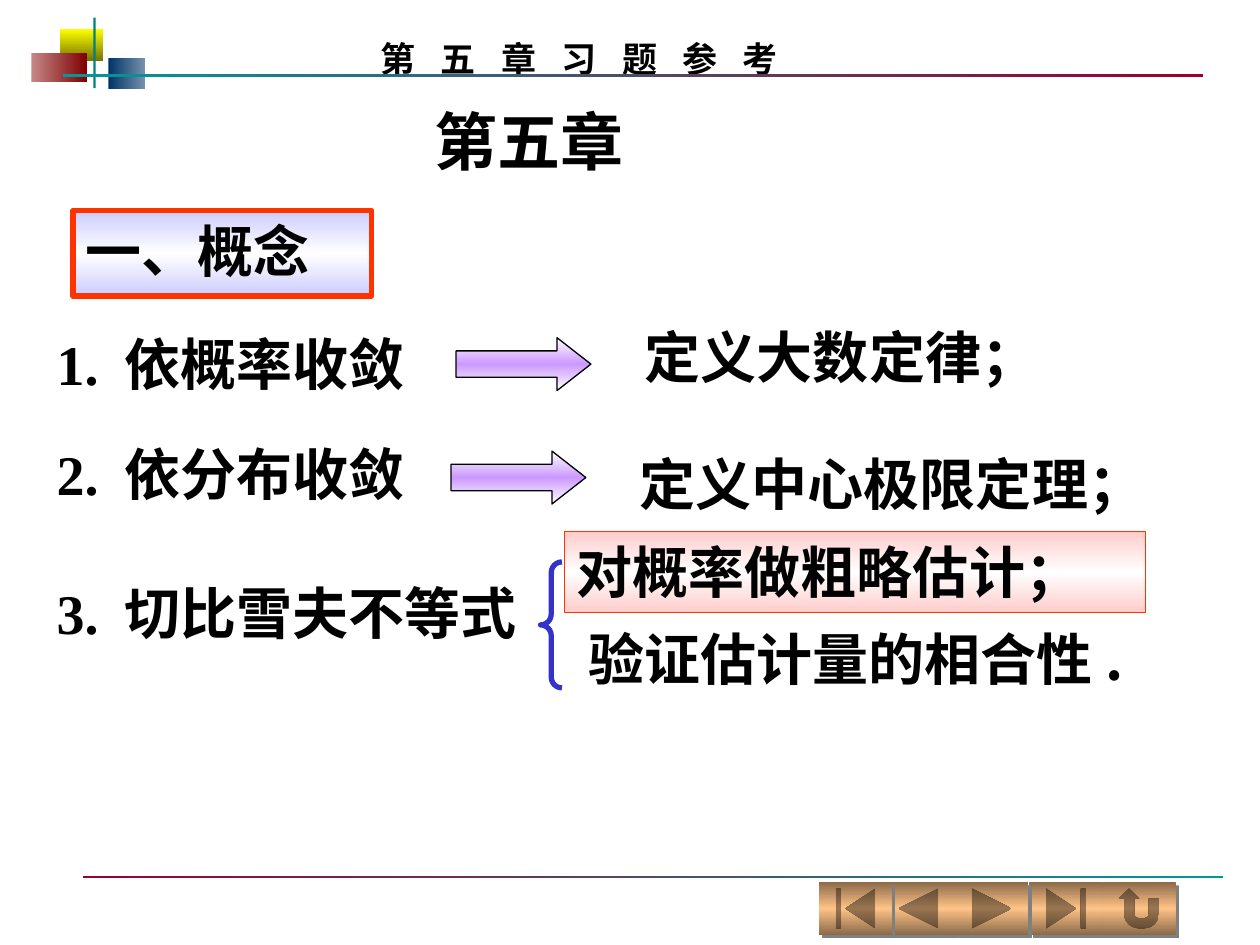
from copy import deepcopy

from lxml.etree import SubElement
from pptx import Presentation
from pptx.dml.color import RGBColor
from pptx.enum.shapes import MSO_SHAPE as Shape
from pptx.enum.text import MSO_ANCHOR as Anchor, MSO_AUTO_SIZE as AutoSize, PP_ALIGN as Align
from pptx.oxml.ns import qn
from pptx.util import Inches, Pt

SERIF = "Times New Roman"
HAN = "Noto Sans CJK SC"

BLACK = RGBColor(0x00, 0x00, 0x00)
WHITE = RGBColor(0xFF, 0xFF, 0xFF)
YELLOW = RGBColor(0xFF, 0xFF, 0x00)
OLIVE = RGBColor(0x76, 0x76, 0x00)
NAVY = RGBColor(0x00, 0x33, 0x66)
STEEL = RGBColor(0x76, 0x91, 0xAD)
ROSE = RGBColor(0xC4, 0x88, 0x88)
MAROON = RGBColor(0x80, 0x00, 0x00)
TEAL = RGBColor(0x00, 0x80, 0x80)
CYAN = RGBColor(0x00, 0x99, 0x99)
CRIMSON = RGBColor(0x99, 0x00, 0x33)
BROWN = RGBColor(0x8A, 0x6A, 0x49)
SAND = RGBColor(0xFF, 0xC3, 0x87)
LAVENDER = RGBColor(0xCC, 0xCC, 0xFF)
VIOLET = RGBColor(0xCC, 0x99, 0xFF)
PINK = RGBColor(0xFF, 0xCC, 0xCC)
ORANGE = RGBColor(0xFF, 0x33, 0x00)
BLUE = RGBColor(0x33, 0x33, 0xCC)


class ChapterSlide:
    """Holds the lecture style and the slide being drawn."""

    def __init__(self, page, size=32):
        self.page = page
        self.size = size

    def format_span(self, span, font=HAN, size=None):
        span.font.name = font
        span.font.size = Pt(size or self.size)
        span.font.bold = True
        span.font.color.rgb = BLACK
        SubElement(span.font._element, qn("a:ea")).set("typeface", HAN)

    def fill_text(self, box, text, size=None, font=HAN):
        frame = box.text_frame
        frame.text = text
        frame.word_wrap = True
        frame.auto_size = AutoSize.NONE
        frame.vertical_anchor = Anchor.TOP
        para = frame.paragraphs[0]
        para.alignment = Align.LEFT
        self.format_span(para.runs[0], font, size)

    def title(self, text, left, top, width, height):
        box = self.page.shapes.title
        box.left, box.top = Inches(left), Inches(top)
        box.width, box.height = Inches(width), Inches(height)
        self.fill_text(box, text, 36)

    def text_box(self, left, top, width, height=0.63):
        return self.page.shapes.add_textbox(
            Inches(left), Inches(top), Inches(width), Inches(height))

    def header(self, text, left, top, width, height):
        box = self.text_box(left, top, width, height)
        self.fill_text(box, text, 20, SERIF)
        box.text_frame.word_wrap = False
        box.text_frame.paragraphs[0].runs[0].font._element.set("spc", "500")

    def statement(self, text, left, top, width):
        self.fill_text(self.text_box(left, top, width), text)

    def numbered(self, number, text, top):
        frame = self.text_box(0.35, top, 4.42).text_frame
        frame.word_wrap = True
        para = frame.paragraphs[0]
        tabs = SubElement(para._p.get_or_add_pPr(), qn("a:tabLst"))
        SubElement(tabs, qn("a:tab"), pos=str(Inches(0.54)), algn="l")
        for content, font in ((f"{number}.\t", SERIF), (text, HAN)):
            span = para.add_run()
            span.text = content
            self.format_span(span, font)

    def shape(self, kind, left, top, width, height, colors=(), angle=0, line=None, weight=0.75):
        shape = self.page.shapes.add_shape(
            kind, Inches(left), Inches(top), Inches(width), Inches(height))
        shape.shadow.inherit = False
        if len(colors) > 1:
            self.blend(shape, colors, angle)
        elif colors:
            shape.fill.solid()
            shape.fill.fore_color.rgb = colors[0]
        else:
            shape.fill.background()
        if line is None:
            shape.line.fill.background()
        else:
            shape.line.color.rgb = line
            shape.line.width = Pt(weight)
        return shape

    def blend(self, shape, colors, angle):
        shape.fill.gradient()
        shape.fill.gradient_angle = angle
        stop_list = shape._element.spPr.find(".//" + qn("a:gsLst"))
        for _ in colors[2:]:
            stop_list.append(deepcopy(stop_list[0]))
        for index, (stop, color) in enumerate(zip(shape.fill.gradient_stops, colors)):
            stop.position = index / (len(colors) - 1)
            stop.color.rgb = color

    def band(self, kind, left, top, width, height, edge, middle, line=None, weight=0.75):
        return self.shape(kind, left, top, width, height, (edge, middle, edge), 270, line, weight)

    def label(self, text, left, top, width, height, edge, weight):
        box = self.band(Shape.RECTANGLE, left, top, width, height, edge, WHITE, ORANGE, weight)
        self.fill_text(box, text)

    def arrow(self, left, top):
        arrow = self.band(Shape.RIGHT_ARROW, left, top, 1.07, 0.42, WHITE, VIOLET, BLACK)
        arrow.adjustments[0] = 0.5
        arrow.adjustments[1] = 0.641

    def brace(self, left, top, width, height):
        brace = self.shape(Shape.LEFT_BRACE, left, top, width, height, line=BLUE, weight=3)
        brace.adjustments[0] = 0.5
        brace.adjustments[1] = 0.5

    def button(self, kind, left):
        button = self.band(kind, left, 7, 0.58, 0.42, BROWN, SAND)
        properties = button._element.spPr
        properties.find(qn("a:xfrm")).set("flipH", "1")
        shadow = SubElement(properties.find(qn("a:effectLst")), qn("a:outerShdw"),
                            dist=str(Pt(2.8)), dir="2700000", algn="ctr", rotWithShape="0")
        SubElement(shadow, qn("a:srgbClr"), val="808080")


def main():
    deck = Presentation()
    deck.slide_width, deck.slide_height = Inches(10), Inches(7.5)
    slide = ChapterSlide(deck.slides.add_slide(deck.slide_layouts[5]))

    slide.header("第 五 章 习 题 参 考", 2.92, 0.25, 3.44, 0.44)
    for left, top, width, height, colors, angle in (
        (0.48, 0.23, 0.34, 0.25, (YELLOW, OLIVE), 270),
        (0.86, 0.46, 0.29, 0.25, (NAVY, STEEL), 0),
        (0.25, 0.42, 0.44, 0.23, (ROSE, MAROON), 0),
        (0.74, 0.14, 0.02, 0.56, (TEAL,), 0),
        (0.5, 0.59, 9.05, 0.02, (CYAN, CRIMSON), 0),
        (0.66, 6.95, 9.05, 0.02, (CRIMSON, CYAN), 0),
    ):
        slide.shape(Shape.RECTANGLE, left, top, width, height, colors, angle)
    for kind, left in (
        (Shape.ACTION_BUTTON_FORWARD_OR_NEXT, 7),
        (Shape.ACTION_BUTTON_BEGINNING, 8.17),
        (Shape.ACTION_BUTTON_END, 6.5),
        (Shape.ACTION_BUTTON_RETURN, 8.75),
        (Shape.ACTION_BUTTON_BACK_OR_PREVIOUS, 7.58),
    ):
        slide.button(kind, left)

    slide.title("第五章", 3.35, 0.76, 2.13, 0.7)
    slide.label("一、概念", 0.58, 1.67, 2.37, 0.68, LAVENDER, 3)
    concepts = (("依概率收敛", 2.57), ("依分布收敛", 3.44), ("切比雪夫不等式", 4.54))
    for number, (text, top) in enumerate(concepts, 1):
        slide.numbered(number, text, top)
    slide.arrow(3.62, 2.68)
    slide.statement("定义大数定律；", 5.02, 2.51, 3.68)
    slide.arrow(3.58, 3.58)
    slide.statement("定义中心极限定理；", 4.98, 3.52, 4.59)
    slide.brace(4.29, 4.46, 0.17, 1)
    slide.label("对概率做粗略估计；", 4.48, 4.22, 4.61, 0.64, PINK, 0.75)
    slide.statement("验证估计量的相合性 .", 4.57, 4.91, 5.16)
    deck.save("out.pptx")


if __name__ == "__main__":
    main()
